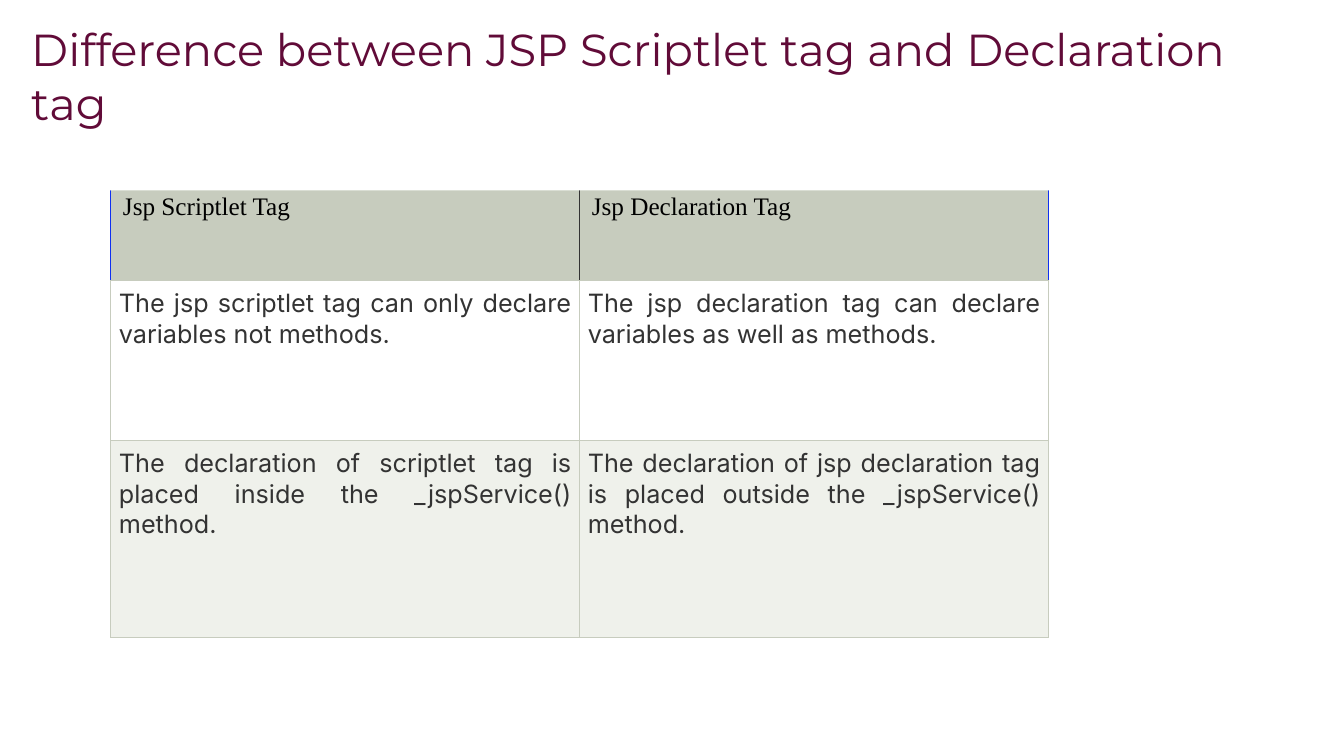
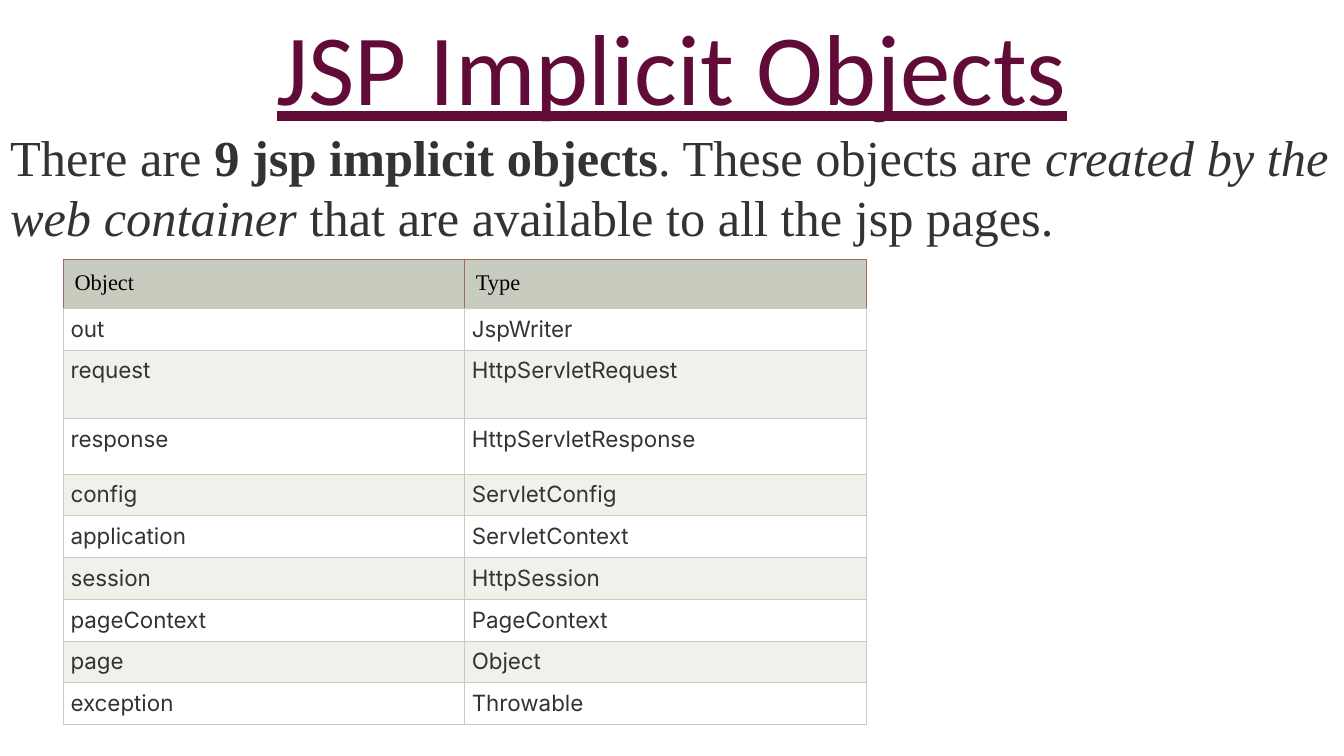
from lxml.etree import SubElement as Sub
from pptx import Presentation
from pptx.dml.color import RGBColor as RGB
from pptx.enum.text import MSO_ANCHOR as Anchor, MSO_AUTO_SIZE as Fit, PP_ALIGN as Align
from pptx.oxml.ns import qn
from pptx.util import Inches, Pt

# Colours and fonts
WHITE = RGB(0xFF, 0xFF, 0xFF)
BLACK = RGB(0, 0, 0)
INK = RGB(0x33, 0x33, 0x33)
PLUM = RGB(0x61, 0x0B, 0x38)
SAGE = RGB(0xC7, 0xCC, 0xBE)
MIST = RGB(0xEF, 0xF1, 0xEB)
BLUE = RGB(0x10, 0x30, 0xF1)
RUST = RGB(0xA0, 0x68, 0x60)
SERIF, SANS = "Times New Roman", "Inter"


def write(para, text, font=SERIF, size=18, color=INK, bold=False,
          italic=False, under=False, align=Align.LEFT):
    """Add one formatted run to a paragraph."""
    para.alignment = align
    run = para.add_run()
    run.text = text
    face = run.font
    face.name, face.size, face.color.rgb = font, Pt(size), color
    face.bold, face.italic, face.underline = bold, italic, under


def border(cell, **sides):
    """Draw cell edges; they must precede the fill."""
    props = cell._tc.get_or_add_tcPr()
    for side in "LRTB":
        line = Sub(props, qn("a:ln" + side), w=str(Pt(0.75)))
        fill = Sub(line, qn("a:solidFill"))
        Sub(fill, qn("a:srgbClr"), val=str(sides.get(side, SAGE)))


class Deck:
    def __init__(self):
        self.file = Presentation()
        self.file.slide_width = Inches(13.33)
        self.file.slide_height = Inches(7.5)
        self.slide = None

    def add(self, layout):
        self.slide = self.file.slides.add_slide(self.file.slide_layouts[layout])

    def place(self, holder, left, top, width, height):
        """Move a placeholder and return its first paragraph."""
        holder.left, holder.top = Inches(left), Inches(top)
        holder.width, holder.height = Inches(width), Inches(height)
        frame = holder.text_frame
        frame.word_wrap, frame.auto_size = True, Fit.NONE
        frame.vertical_anchor = Anchor.TOP
        return frame.paragraphs[0]

    def title(self, text, box, **style):
        write(self.place(self.slide.shapes.title, *box), text, color=PLUM, **style)

    def cover(self):
        """Fill the title with white and bring it to the front."""
        head = self.slide.shapes.title
        head.fill.solid()
        head.fill.fore_color.rgb = WHITE
        head.text_frame.margin_top = 0
        self.slide.shapes._spTree.append(head._element)

    def body(self, parts, box, **style):
        para = self.place(self.slide.placeholders[1], *box)
        para.space_before = Pt(0)
        props = para._p.get_or_add_pPr()
        props.set("marL", "0")
        props.set("indent", "0")
        Sub(props, qn("a:buNone"))
        for text, extra in parts:
            write(para, text, **style, **extra)

    def table(self, data, box, tall, size, pads, edges):
        """tall fixes some row heights; the other rows share what is left.

        pads holds the header and body insets, edges the header's
        left, middle, right and top line colours.
        """
        left, top, width, height = box
        cols = len(data[0])
        grid = self.slide.shapes.add_table(
            len(data), cols, *(Inches(n) for n in box)).table
        grid.first_row = grid.horz_banding = False
        rest = (height - sum(tall.values())) / max(1, len(data) - len(tall))
        for col in grid.columns:
            col.width = Inches(width / cols)
        for r, row in enumerate(data):
            grid.rows[r].height = Inches(tall.get(r, rest))
            head = r == 0
            for c, text in enumerate(row):
                cell = grid.cell(r, c)
                if head:
                    border(cell, L=edges[c], R=edges[c + 1], T=edges[-1])
                else:
                    border(cell)
                cell.fill.solid()
                cell.fill.fore_color.rgb = SAGE if head else WHITE if r % 2 else MIST
                pad = Inches(pads[0] if head else pads[1])
                cell.margin_left = cell.margin_right = pad
                cell.margin_top = cell.margin_bottom = pad
                write(cell.text_frame.paragraphs[0], text, size=size,
                      font=SERIF if head else SANS,
                      color=BLACK if head else INK,
                      align=Align.LEFT if head else Align.JUSTIFY)


def main():
    deck = Deck()

    # Scriptlet and declaration tags
    deck.add(5)
    deck.title("Difference between JSP Scriptlet tag and Declaration tag",
               (0.21, 0.22, 12.3, 1.67), font="Montserrat", size=32)
    deck.table([
        ("Jsp Scriptlet Tag", "Jsp Declaration Tag"),
        ("The jsp scriptlet tag can only declare variables not methods.",
         "The jsp declaration tag can declare variables as well as methods."),
        ("The declaration of scriptlet tag is placed inside the _jspService() method.",
         "The declaration of jsp declaration tag is placed outside the _jspService() method."),
    ], (1.1, 1.79, 9.3, 4.53), {0: 0.99, 1: 1.59}, 18, (0.12, 0.08),
        (BLUE, INK, BLUE, BLUE))
    deck.cover()

    # Implicit objects
    deck.add(1)
    deck.title("JSP Implicit Objects", (0, 0, 13.33, 1.22),
               font="Calibri", size=72, under=True, align=Align.CENTER)
    deck.body([
        ("There are ", {}),
        ("9 jsp implicit objects", {"bold": True}),
        (". These objects are ", {}),
        ("created by the web container", {"italic": True}),
        (" that are available to all the jsp pages.", {}),
    ], (0, 1.2, 13.33, 1.3), size=36)
    deck.table([
        ("Object", "Type"),
        ("out", "JspWriter"),
        ("request", "HttpServletRequest"),
        ("response", "HttpServletResponse"),
        ("config", "ServletConfig"),
        ("application", "ServletContext"),
        ("session", "HttpSession"),
        ("pageContext", "PageContext"),
        ("page", "Object"),
        ("exception", "Throwable"),
    ], (0.63, 2.57, 7.96, 4.62), {0: 0.49, 2: 0.68, 3: 0.55}, 16, (0.11, 0.07),
        (RUST, RUST, RUST, RUST))

    deck.file.save("out.pptx")


if __name__ == "__main__":
    main()
